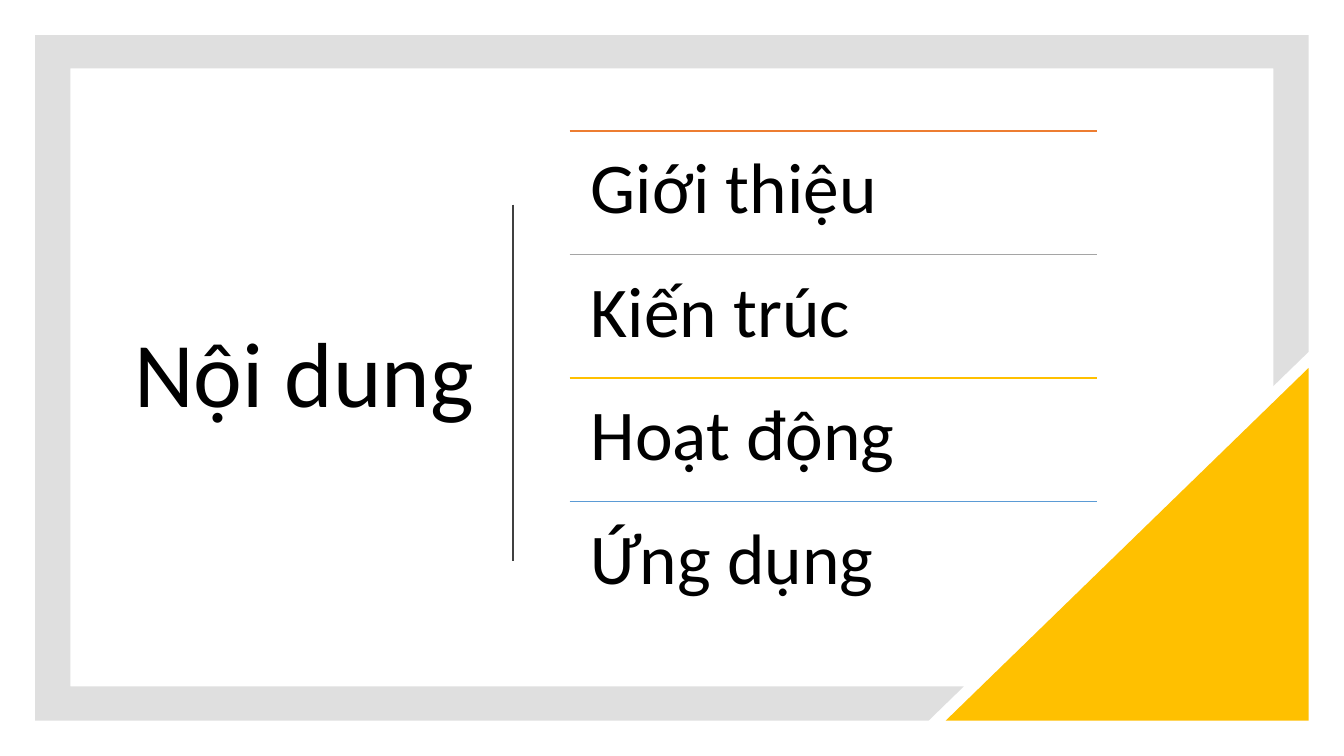
from collections import namedtuple
from dataclasses import dataclass

from lxml.etree import SubElement
from pptx import Presentation
from pptx.dml.color import RGBColor
from pptx.enum.shapes import MSO_CONNECTOR as Connector, MSO_SHAPE as Shape
from pptx.enum.text import MSO_ANCHOR as Anchor, MSO_AUTO_SIZE as AutoSize, PP_ALIGN as Align
from pptx.oxml.ns import qn
from pptx.util import Inches, Pt

Box = namedtuple("Box", "left top width height")


@dataclass(frozen=True)
class Theme:
    """Colours, font and type sizes of the slide."""
    font: str = "Calibri"
    ink: str = "000000"
    frame: str = "808080"
    frame_alpha: int = 25000
    corner: str = "FFC000"
    divider: str = "404040"
    rules: tuple = ("ED7D31", "A5A5A5", "FFC000", "5B9BD5")
    title_size: int = 66
    topic_size: int = 51


THEME = Theme()


def in_inches(box):
    """Return the four lengths of a box as Inches."""
    return [Inches(length) for length in box]


def paint(shape, colour):
    """Give a shape a plain fill without line or shadow."""
    shape.fill.solid()
    shape.fill.fore_color.rgb = RGBColor.from_string(colour)
    shape.line.fill.background()
    shape.shadow.inherit = False


def write(frame, text, size, align):
    """Put one styled paragraph in a text frame."""
    frame.text = text
    frame.word_wrap = True
    frame.auto_size = AutoSize.NONE
    paragraph = frame.paragraphs[0]
    paragraph.alignment = align
    paragraph.line_spacing = 0.9
    font = paragraph.runs[0].font
    font.name, font.size = THEME.font, Pt(size)
    font.color.rgb = RGBColor.from_string(THEME.ink)


def draw_line(slide, start, end, colour, width):
    """Draw a straight line between two points."""
    line = slide.shapes.add_connector(
        Connector.STRAIGHT, *[Inches(length) for length in (*start, *end)])
    line.line.color.rgb = RGBColor.from_string(colour)
    line.line.width = Pt(width)
    SubElement(line._element.spPr, qn("a:effectLst"))


def add_frame(slide, box):
    """Draw the pale frame whose lower right corner is cut off."""
    side, top, bottom = 0.35, 0.33, 0.34
    right, base = box.left + box.width, box.top + box.height
    outline = [
        (box.left, box.top), (right, box.top),
        (right, box.top + 3.14), (right - side, box.top + 3.48),
        (right - side, box.top + top), (box.left + side, box.top + top),
        (box.left + side, base - bottom), (right - 3.42, base - bottom),
        (right - 3.77, base), (box.left, base),
    ]
    points = [(Inches(x), Inches(y)) for x, y in outline]
    builder = slide.shapes.build_freeform(*points[0])
    builder.add_line_segments(points[1:], close=True)
    border = builder.convert_to_shape()
    paint(border, THEME.frame)
    tint = border._element.spPr.find(qn("a:solidFill")).find(qn("a:srgbClr"))
    SubElement(tint, qn("a:alpha"), val=str(THEME.frame_alpha))


def add_corner(slide, box):
    """Draw the triangle with its right angle at the lower right."""
    corner = slide.shapes.add_shape(Shape.RIGHT_TRIANGLE, *in_inches(box))
    corner._element.spPr.get_or_add_xfrm().set("flipH", "1")
    paint(corner, THEME.corner)


def add_heading(slide, box, text):
    """Place the title and the upright divider to its right."""
    heading = slide.shapes.title
    heading.left, heading.top, heading.width, heading.height = in_inches(box)
    heading.text_frame.vertical_anchor = Anchor.MIDDLE
    write(heading.text_frame, text, THEME.title_size, Align.RIGHT)
    x, middle, half = box.left + box.width + 0.29, box.top + 2.5, 1.77
    draw_line(slide, (x, middle - half), (x, middle + half), THEME.divider, 1.5)


def add_topics(slide, box, topics):
    """Stack the topics in equal rows, each under a coloured rule."""
    row_height = box.height / len(topics)
    for index, (topic, rule) in enumerate(zip(topics, THEME.rules)):
        top = box.top + index * row_height
        draw_line(slide, (box.left, top), (box.left + box.width, top), rule, 1)
        row = slide.shapes.add_textbox(
            *in_inches(Box(box.left, top, box.width, row_height)))
        frame = row.text_frame
        frame.margin_left = frame.margin_right = Inches(0.21)
        frame.margin_top = frame.margin_bottom = Inches(0.21)
        frame.vertical_anchor = Anchor.TOP
        write(frame, topic, THEME.topic_size, Align.LEFT)


def main():
    """Build the contents slide and save it."""
    deck = Presentation()
    deck.slide_width, deck.slide_height = Inches(13.33), Inches(7.5)
    slide = deck.slides.add_slide(deck.slide_layouts.get_by_name("Title Only"))
    add_frame(slide, Box(0.35, 0.35, 12.63, 6.8))
    add_corner(slide, Box(9.38, 3.65, 3.6, 3.5))
    add_heading(slide, Box(0.94, 1.3, 3.86, 4.9), "Nội dung")
    add_topics(slide, Box(5.65, 1.3, 5.23, 4.9),
               ["Giới thiệu", "Kiến trúc", "Hoạt động", "Ứng dụng"])
    deck.save("out.pptx")


if __name__ == "__main__":
    main()
